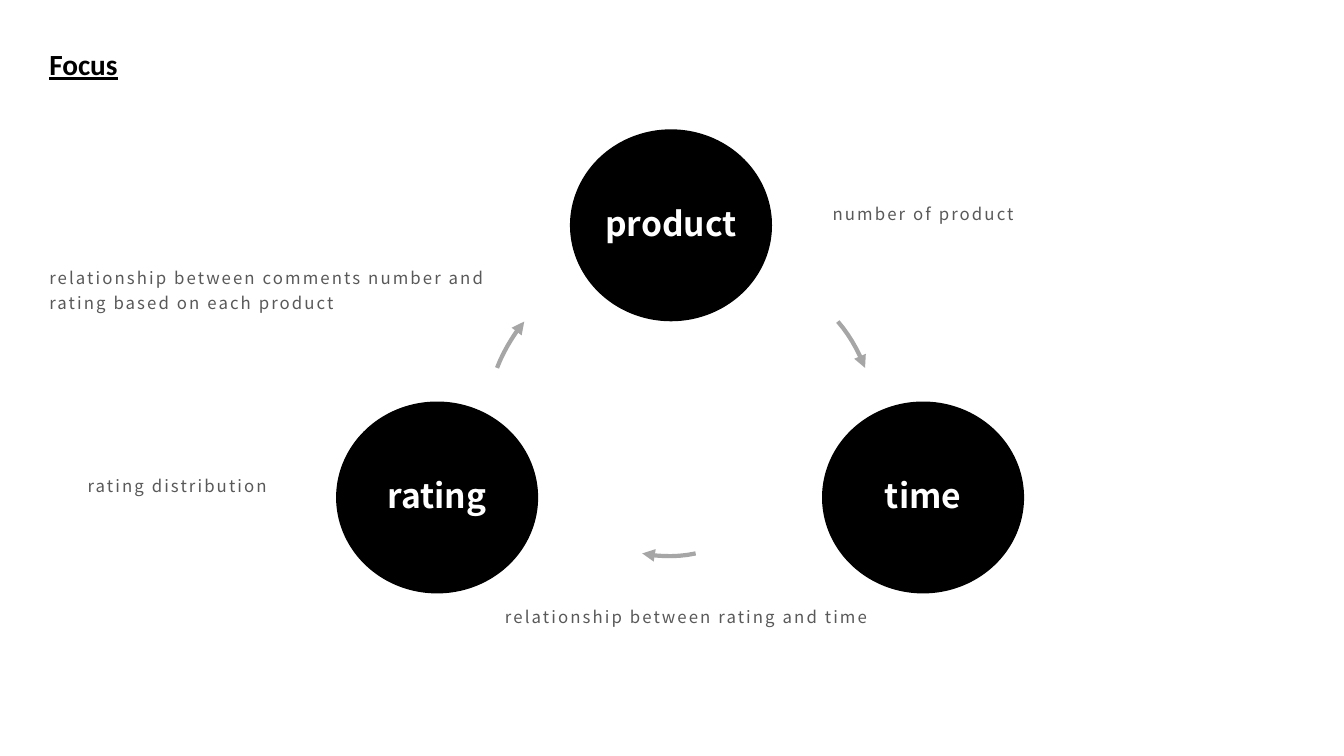
from pptx import Presentation
from pptx.dml.color import RGBColor
from pptx.enum.shapes import MSO_SHAPE as Shape
from pptx.enum.text import MSO_ANCHOR as Anchor, PP_ALIGN as Align
from pptx.oxml.ns import qn
from pptx.util import Inches, Pt
from lxml.etree import SubElement

BLACK = RGBColor(0, 0, 0)
WHITE = RGBColor(255, 255, 255)
NOTE_GREY = RGBColor(0x59, 0x59, 0x59)
ARROW_GREY = RGBColor(0xA6, 0xA6, 0xA6)
BODY_FONT = "Noto Sans CJK SC"

CIRCLE_WIDTH, CIRCLE_HEIGHT = 1.99, 1.89
NOTE_HEIGHT = 1.16
ARROW_STEPS = 8

TITLE = "Focus"
CIRCLES = [("product", 5.66, 1.29), ("time", 8.16, 3.99), ("rating", 3.34, 3.99)]
NOTES = [
    ("number of product", 8.16, 1.65, 3.72, 0.3),
    ("rating distribution", 0.77, 4.35, 3.16, 0.3),
    ("relationship between rating and time", 4.91, 5.52, 4.95, 0.05),
    ("relationship between comments number and rating based on each product",
     0.39, 2.28, 4.95, 0.05),
]
ARROW_CURVES = [
    [(8.31, 3.19), (8.46, 3.36), (8.55, 3.57), (8.58, 3.65)],
    [(6.9, 5.49), (6.68, 5.54), (6.45, 5.51), (6.37, 5.49)],
    [(4.93, 3.65), (5.01, 3.44), (5.14, 3.26), (5.2, 3.19)],
]


def write(box, text, font, size, color, bold=False):
    box.text_frame.word_wrap = True
    para = box.text_frame.paragraphs[0]
    para.text = text
    span = para.runs[0]
    span.font.name = font
    span.font.size = Pt(size)
    span.font.color.rgb = color
    span.font.bold = bold
    properties = span._r.get_or_add_rPr()
    SubElement(properties, qn("a:ea")).set("typeface", font)
    return para, span, properties


def add_title(page):
    box = page.shapes.add_textbox(Inches(0.39), Inches(0.35), Inches(5.22), Inches(0.49))
    _, span, properties = write(box, TITLE, "Calibri", 36, BLACK, bold=True)
    span.font.underline = True
    properties.set("baseline", "30000")


def add_circle(page, label, left, top):
    circle = page.shapes.add_shape(Shape.OVAL, Inches(left), Inches(top),
                                   Inches(CIRCLE_WIDTH), Inches(CIRCLE_HEIGHT))
    circle.shadow.inherit = False
    circle.fill.solid()
    circle.fill.fore_color.rgb = BLACK
    circle.line.color.rgb = BLACK
    circle.line.width = Pt(1)
    para, _, _ = write(circle, label, BODY_FONT, 24, WHITE, bold=True)
    para.alignment = Align.CENTER
    para.line_spacing = 0.9
    frame = circle.text_frame
    frame.vertical_anchor = Anchor.MIDDLE
    frame.margin_left = frame.margin_right = 0


def add_note(page, text, left, top, width, bottom_margin):
    box = page.shapes.add_textbox(Inches(left), Inches(top), Inches(width), Inches(NOTE_HEIGHT))
    para, _, properties = write(box, text, BODY_FONT, 12, NOTE_GREY)
    para.line_spacing = 1.2
    properties.set("spc", "150")
    box.text_frame.vertical_anchor = Anchor.MIDDLE
    box.text_frame.margin_bottom = Inches(bottom_margin)


def curve_point(controls, t):
    weights = ((1 - t) ** 3, 3 * t * (1 - t) ** 2, 3 * t ** 2 * (1 - t), t ** 3)
    return tuple(Inches(sum(weight * value for weight, value in zip(weights, axis)))
                 for axis in zip(*controls))


def add_arrow(page, controls):
    start, *rest = [curve_point(controls, step / ARROW_STEPS)
                    for step in range(ARROW_STEPS + 1)]
    builder = page.shapes.build_freeform(*start)
    builder.add_line_segments(rest, close=False)
    arrow = builder.convert_to_shape()
    arrow.shadow.inherit = False
    arrow.fill.background()
    arrow.line.color.rgb = ARROW_GREY
    arrow.line.width = Pt(3)
    SubElement(arrow.line._get_or_add_ln(), qn("a:tailEnd")).set("type", "triangle")


deck = Presentation()
deck.slide_width, deck.slide_height = Inches(13.33), Inches(7.5)
page = deck.slides.add_slide(deck.slide_layouts[6])
add_title(page)
for circle in CIRCLES:
    add_circle(page, *circle)
for controls in ARROW_CURVES:
    add_arrow(page, controls)
for note in NOTES:
    add_note(page, *note)
deck.save("out.pptx")
